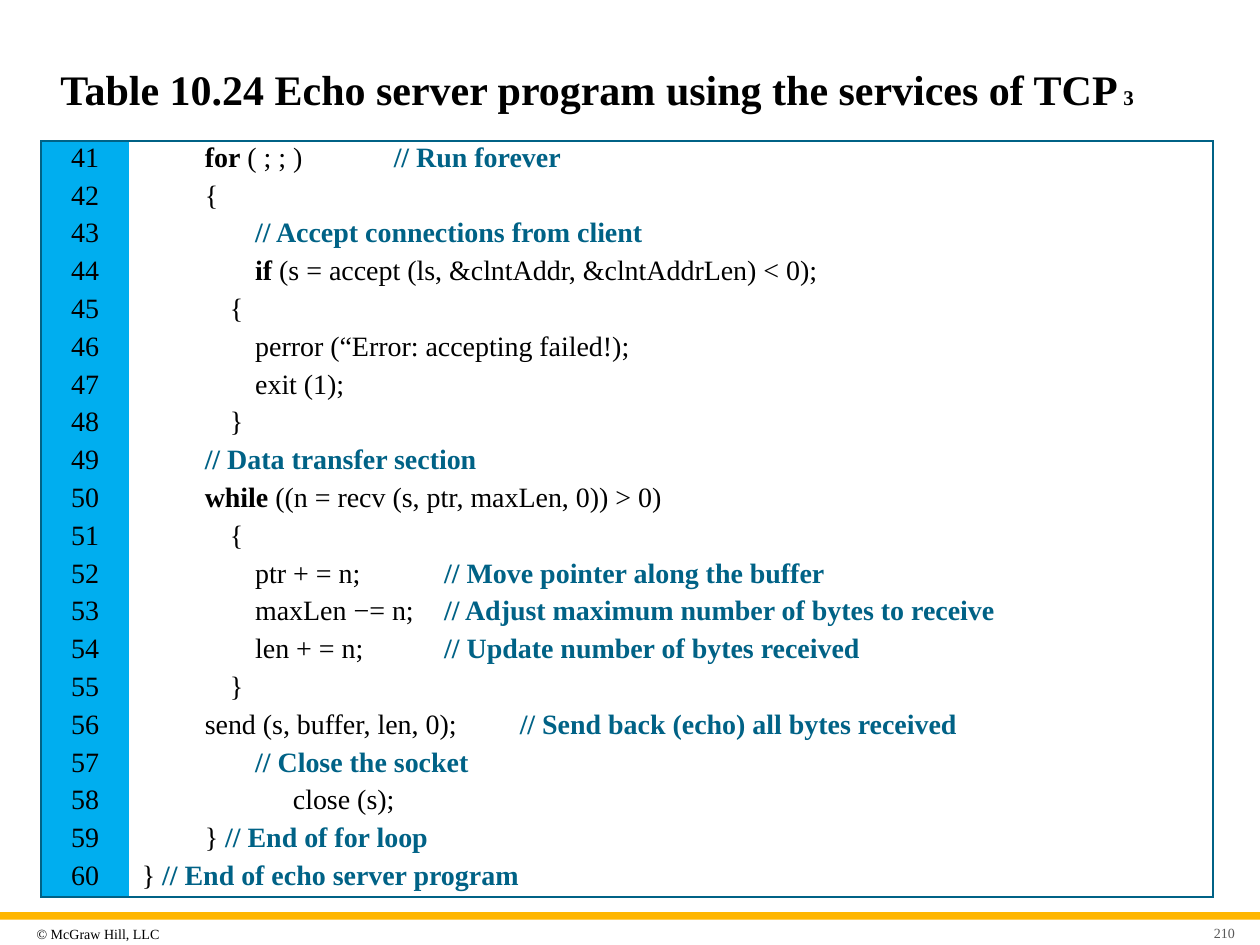
from lxml import etree
from pptx import Presentation
from pptx.dml.color import RGBColor
from pptx.enum.shapes import MSO_SHAPE
from pptx.enum.text import MSO_ANCHOR, PP_ALIGN
from pptx.oxml.ns import qn
from pptx.util import Pt

RECTANGLE = MSO_SHAPE.RECTANGLE
MIDDLE = MSO_ANCHOR.MIDDLE
TOP = MSO_ANCHOR.TOP
LEFT, CENTER, RIGHT = PP_ALIGN.LEFT, PP_ALIGN.CENTER, PP_ALIGN.RIGHT

FONT = "Times New Roman"
BLACK, GRAY, TEAL, BLUE, GOLD = "000000", "595959", "006286", "00AEEF", "FFB600"

FIRST_LINE_NUMBER = 41
ROW_HEIGHT = 21.6
COLUMN_WIDTHS = (50.4, 619.2)
CELL_INSETS = (7.2, 0.72, 7.2, 0.72)
CODE_SIZE = 16

CODE_LINES = [
    (36, "for", " ( ; ; ) \t\t", "// Run forever"),
    (36, "", "{", ""),
    (64.8, "", "", "// Accept connections from client"),
    (64.8, "if", " (s = accept (ls, &clntAddr, &clntAddrLen) < 0);", ""),
    (50.4, "", "{", ""),
    (64.8, "", "perror (“Error: accepting failed!);", ""),
    (64.8, "", "exit (1);", ""),
    (50.4, "", "}", ""),
    (36, "", "", "// Data transfer section"),
    (36, "while", " ((n = recv (s, ptr, maxLen, 0)) > 0)", ""),
    (50.4, "", "{", ""),
    (64.8, "", "ptr + = n; \t\t", "// Move pointer along the buffer"),
    (64.8, "", "maxLen −= n; \t", "// Adjust maximum number of bytes to receive"),
    (64.8, "", "len + = n; \t\t", "// Update number of bytes received"),
    (50.4, "", "}", ""),
    (36, "", "send (s, buffer, len, 0); \t", "// Send back (echo) all bytes received"),
    (64.8, "", "", "// Close the socket"),
    (86.4, "", "close (s);", ""),
    (36, "", "} ", "// End of for loop"),
    (0, "", "} ", "// End of echo server program"),
]


def color(value):
    return RGBColor.from_string(value)


def set_attributes(target, values):
    for name, value in values.items():
        setattr(target, name, value)


def add_span(para, text, size, fill=BLACK, bold=False):
    span = para.add_run()
    span.text = text
    set_attributes(span.font, {"name": FONT, "size": Pt(size), "bold": bold})
    span.font.color.rgb = color(fill)


def set_insets(target, insets):
    names = ("margin_left", "margin_top", "margin_right", "margin_bottom")
    set_attributes(target, dict(zip(names, map(Pt, insets))))


def add_title(page):
    title = page.shapes.title
    bounds = {"left": 27.36, "top": 23.76, "width": 666, "height": 53.28}
    set_attributes(title, {name: Pt(value) for name, value in bounds.items()})
    set_attributes(title.text_frame, {"vertical_anchor": MIDDLE, "word_wrap": True})
    para = title.text_frame.paragraphs[0]
    para.alignment = LEFT
    add_span(para, "Table 10.24 Echo server program using the services of TCP", 24, bold=True)
    add_span(para, " 3", 12, bold=True)


def add_label(page, bounds, insets, text, fill, alignment):
    box = page.shapes.add_textbox(*map(Pt, bounds))
    set_attributes(box.text_frame, {"vertical_anchor": MIDDLE, "word_wrap": True})
    set_insets(box.text_frame, insets)
    para = box.text_frame.paragraphs[0]
    para.alignment = alignment
    add_span(para, text, 8, fill)


def add_bar(page, bounds, fill):
    bar = page.shapes.add_shape(RECTANGLE, *map(Pt, bounds))
    bar.shadow.inherit = False
    bar.fill.solid()
    bar.fill.fore_color.rgb = color(fill)
    bar.line.fill.background()


def set_borders(cell, edges):
    properties = cell._tc.get_or_add_tcPr()
    for side, visible in edges.items():
        line = etree.SubElement(properties, qn(f"a:ln{side}"), w=str(Pt(1)))
        if visible:
            fill = etree.SubElement(line, qn("a:solidFill"))
            etree.SubElement(fill, qn("a:srgbClr"), val=TEAL)
        else:
            etree.SubElement(line, qn("a:noFill"))


def format_cell(cell, edges, fill=None):
    cell.vertical_anchor = TOP
    set_insets(cell, CELL_INSETS)
    set_borders(cell, edges)
    if fill:
        cell.fill.solid()
        cell.fill.fore_color.rgb = color(fill)
    else:
        cell.fill.background()


def fill_code_cell(cell, indent, keyword, code, comment):
    para = cell.text_frame.paragraphs[0]
    para._p.get_or_add_pPr().set("marL", str(Pt(indent)))
    for text, fill, bold in ((keyword, BLACK, True), (code, BLACK, False), (comment, TEAL, True)):
        if text:
            add_span(para, text, CODE_SIZE, fill, bold)


def add_code_table(page):
    count = len(CODE_LINES)
    bounds = (23.4, 80.64, sum(COLUMN_WIDTHS), count * ROW_HEIGHT)
    table = page.shapes.add_table(count, len(COLUMN_WIDTHS), *map(Pt, bounds)).table
    set_attributes(table, {"first_row": False, "horz_banding": False})
    for column, width in zip(table.columns, COLUMN_WIDTHS):
        column.width = Pt(width)
    for index, line in enumerate(CODE_LINES):
        table.rows[index].height = Pt(ROW_HEIGHT)
        number_cell, code_cell = table.cell(index, 0), table.cell(index, 1)
        ends = {"T": index == 0, "B": index == count - 1}
        format_cell(number_cell, {"L": True, "R": False, **ends}, BLUE)
        format_cell(code_cell, {"L": False, "R": True, **ends})
        para = number_cell.text_frame.paragraphs[0]
        para.alignment = CENTER
        add_span(para, str(FIRST_LINE_NUMBER + index), CODE_SIZE)
        fill_code_cell(code_cell, *line)


def main():
    deck = Presentation()
    set_attributes(deck, {"slide_width": Pt(720), "slide_height": Pt(540)})
    page = deck.slides.add_slide(deck.slide_layouts[5])
    add_bar(page, (0, 521.28, 720, 4.32), GOLD)
    add_label(page, (17.28, 524.88, 97.2, 17.28), (3.6, 3.6, 3.6, 3.6),
              "© McGraw Hill, LLC", BLACK, LEFT)
    add_title(page)
    add_code_table(page)
    add_label(page, (681.12, 526.32, 28.08, 12.96), (7.2, 3.6, 3.6, 3.6), "210", GRAY, RIGHT)
    deck.save("out.pptx")


if __name__ == "__main__":
    main()
